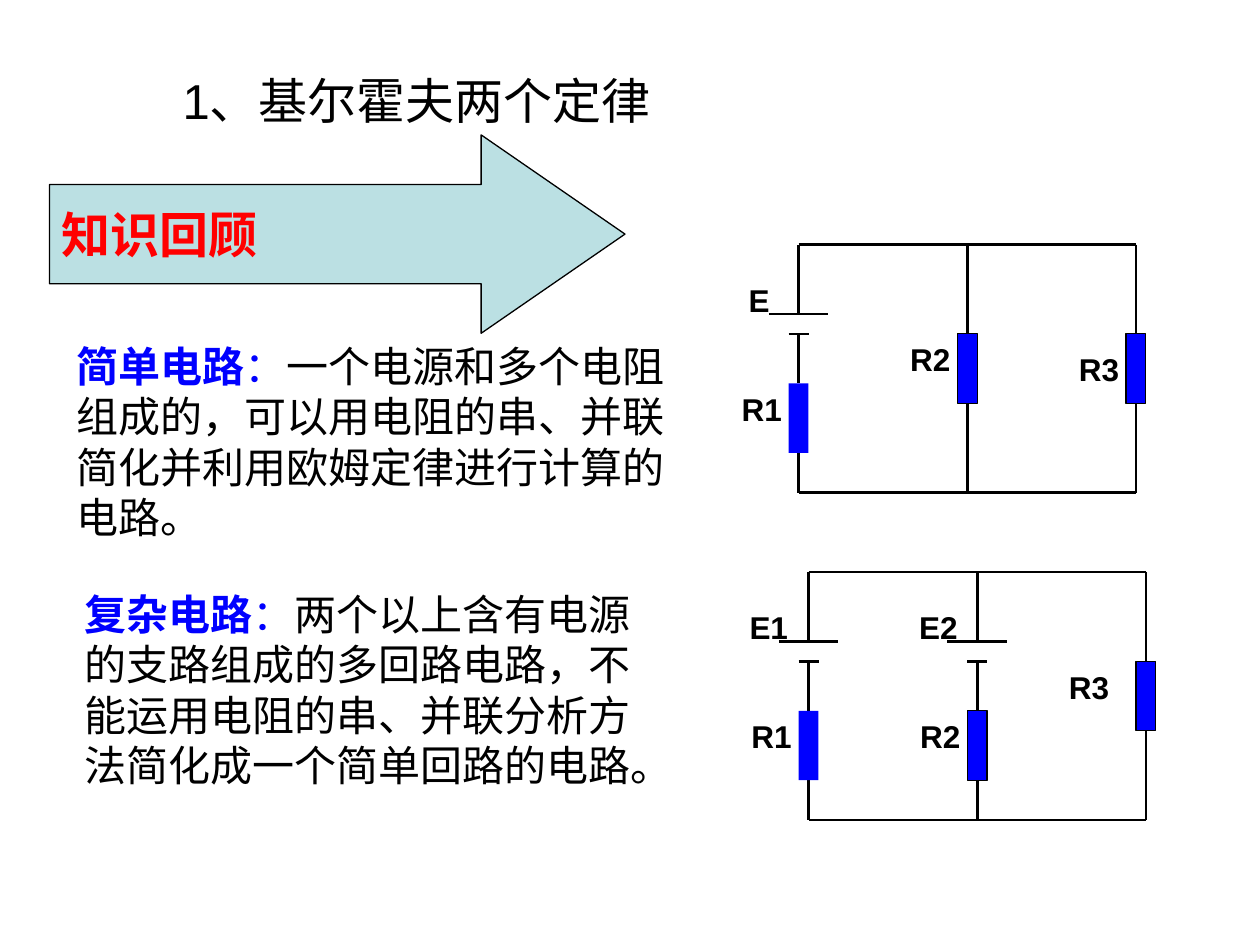
from lxml.etree import SubElement
from pptx import Presentation
from pptx.dml.color import RGBColor
from pptx.enum.shapes import MSO_CONNECTOR, MSO_SHAPE
from pptx.enum.text import MSO_ANCHOR, PP_ALIGN
from pptx.oxml.ns import qn
from pptx.util import Cm, Pt

COLORS = {"black": "000000", "blue": "0000FF", "red": "FF0000", "arrow": "BBE0E3"}
CHINESE_FONT = "Noto Sans CJK SC"
BRANCH_GAP = 3.4
CIRCUIT_HEIGHT = 5
CELL_TOP, CELL_BOTTOM = 1.4, 1.8
RESISTOR_WIDTH, RESISTOR_HEIGHT = 0.4, 1.4


def color(name):
    return RGBColor.from_string(COLORS[name])


def add_run(paragraph, text, *, size, font="Arial", fill="black", bold=False):
    run = paragraph.add_run()
    run.text = text
    run.font.size = Pt(size)
    run.font.bold = bold
    run.font.color.rgb = color(fill)
    run.font.name = font
    SubElement(run.font._element, qn("a:ea")).set("typeface", CHINESE_FONT)


class CircuitSlide:
    """Draws on one slide; all lengths are centimetres."""

    def __init__(self, slide):
        self.slide = slide
        self.shapes = slide.shapes

    def text_box(self, left, top, width, height, inset=0.25, margin=0.13):
        box = self.shapes.add_textbox(Cm(left), Cm(top), Cm(width), Cm(height))
        frame = box.text_frame
        frame.word_wrap = True
        frame.margin_left = Cm(inset)
        frame.margin_top = frame.margin_bottom = Cm(margin)
        return frame.paragraphs[0]

    def heading(self, text):
        paragraph = self.text_box(2.26, 0.74, 15.85, 1.73, inset=1.42, margin=0.08)
        paragraph.line_spacing = 1.5
        add_run(paragraph, text, size=28)

    def definition(self, term, text, left, top, width):
        paragraph = self.text_box(left, top, width, 3.3)
        add_run(paragraph, term, size=24, font="Lato", fill="blue", bold=True)
        add_run(paragraph, "：", size=24, font="Lato", fill="blue")
        add_run(paragraph, text, size=24, font="Lato")

    def label(self, text, left, top, width=1.6, inset=0.25):
        paragraph = self.text_box(left, top, width, 1.02, inset)
        add_run(paragraph, text, size=18, bold=True)

    def filled_shape(self, kind, left, top, width, height, fill, outlined=True):
        shape = self.shapes.add_shape(kind, Cm(left), Cm(top), Cm(width), Cm(height))
        shape.shadow.inherit = False
        shape.fill.solid()
        shape.fill.fore_color.rgb = color(fill)
        if outlined:
            shape.line.color.rgb = color("black")
            shape.line.width = Pt(0.75)
        else:
            shape.line.fill.background()
        return shape

    def banner(self, text):
        arrow = self.filled_shape(MSO_SHAPE.RIGHT_ARROW, 1, 2.72, 11.6, 4, "arrow")
        arrow.adjustments[0] = 0.5
        arrow.adjustments[1] = 0.725
        frame = arrow.text_frame
        frame.word_wrap = False
        frame.vertical_anchor = MSO_ANCHOR.MIDDLE
        paragraph = frame.paragraphs[0]
        paragraph.alignment = PP_ALIGN.LEFT
        add_run(paragraph, text, size=28, font=CHINESE_FONT, fill="red", bold=True)

    def wire(self, x1, y1, x2, y2):
        line = self.shapes.add_connector(
            MSO_CONNECTOR.STRAIGHT, Cm(x1), Cm(y1), Cm(x2), Cm(y2))
        line.line.color.rgb = color("black")
        line.line.width = Pt(1.5)
        SubElement(line._element.spPr, qn("a:effectLst"))

    def branch(self, x, top, resistor_top, has_cell, outlined):
        """Draw one vertical branch: a resistor, with a cell above it if asked."""
        resistor = top + resistor_top
        if has_cell:
            for offset, half in ((CELL_TOP, 0.6), (CELL_BOTTOM, 0.2)):
                self.wire(x - half, top + offset, x + half, top + offset)
            self.wire(x, top, x, top + CELL_TOP)
            self.wire(x, top + CELL_BOTTOM, x, resistor)
        else:
            self.wire(x, top, x, resistor)
        self.wire(x, resistor + RESISTOR_HEIGHT, x, top + CIRCUIT_HEIGHT)
        self.filled_shape(MSO_SHAPE.RECTANGLE, x - RESISTOR_WIDTH / 2, resistor,
                          RESISTOR_WIDTH, RESISTOR_HEIGHT, "blue", outlined)

    def circuit(self, left, top, branches, labels):
        """Group a circuit; labels are (text, branch, dx, dy, width, inset)."""
        self.shapes = self.slide.shapes.add_group_shape().shapes
        right = left + BRANCH_GAP * (len(branches) - 1)
        for y in (top, top + CIRCUIT_HEIGHT):
            self.wire(left, y, right, y)
        for index, (resistor_top, has_cell) in enumerate(branches):
            self.branch(left + index * BRANCH_GAP, top, resistor_top, has_cell,
                        outlined=index > 0)
        for text, index, dx, dy, width, inset in labels:
            self.label(text, left + index * BRANCH_GAP + dx, top + dy, width, inset)
        self.shapes = self.slide.shapes


def main():
    presentation = Presentation()
    presentation.slide_width, presentation.slide_height = Cm(25.4), Cm(19.05)
    page = CircuitSlide(presentation.slides.add_slide(presentation.slide_layouts[6]))

    page.definition(
        "简单电路",
        "一个电源和多个电阻组成的，可以用电阻的串、并联简化并利用欧姆定律进行计算的电路。",
        1.3, 6.73, 12.45)
    page.definition(
        "复杂电路",
        "两个以上含有电源的支路组成的多回路电路，不能运用电阻的串、并联分析方法简化成一个简单回路的电路。",
        1.45, 11.73, 12.12)
    page.banner("知识回顾")
    page.circuit(
        16.3, 11.53, [(2.8, True), (2.8, True), (1.8, False)],
        [("E1", 0, -1.8, 0.6, 2.2, 0.61), ("R1", 0, -1.4, 2.8, 1.6, 0.25),
         ("E2", 1, -1.6, 0.6, 2.2, 0.43), ("R2", 1, -1.4, 2.8, 1.8, 0.25),
         ("R3", 2, -1.8, 1.8, 1.6, 0.25)])
    page.circuit(
        16.1, 4.93, [(2.8, True), (1.8, False), (1.8, False)],
        [("E", 0, -1.8, 0.6, 2.2, 0.79), ("R1", 0, -1.4, 2.8, 1.6, 0.25),
         ("R2", 1, -1.4, 1.8, 1.8, 0.25), ("R3", 2, -1.4, 2, 1.6, 0.25)])
    page.heading("1、基尔霍夫两个定律")
    presentation.save("out.pptx")


if __name__ == "__main__":
    main()
